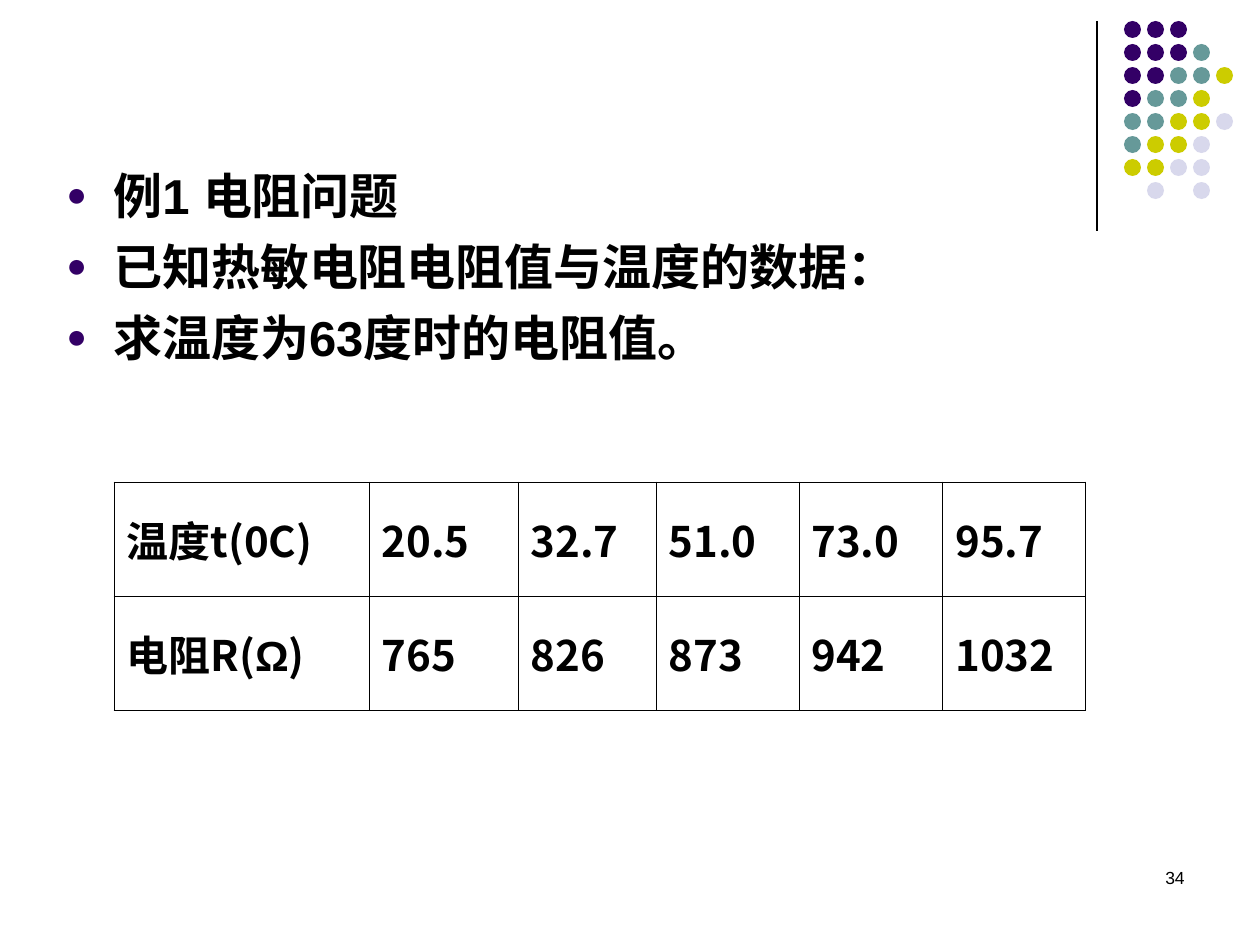
import dataclasses

import lxml.etree
import pptx
import pptx.dml.color
import pptx.enum.shapes
import pptx.enum.text
import pptx.oxml.ns
import pptx.util

PX = 914400 / 126


@dataclasses.dataclass(frozen=True)
class Theme:
    ink: str = "000000"
    purple: str = "330066"
    teal: str = "669999"
    lime: str = "CCCC00"
    lavender: str = "D8D8EC"
    latin: str = "Arial"
    chinese: str = "Noto Sans CJK SC"
    body: int = 28
    table: int = 24
    footer: int = 10


THEME = Theme()


def px(value):
    return pptx.util.Emu(round(value * PX))


def color(code):
    return pptx.dml.color.RGBColor.from_string(code)


def add_element(parent, tag, **attributes):
    element = lxml.etree.SubElement(parent, pptx.oxml.ns.qn(tag))
    for name, value in attributes.items():
        element.set(name, str(value))
    return element


def format_run(run, size, latin, bold):
    run.font.size = pptx.util.Pt(size)
    run.font.bold = bold
    run.font.name = latin
    run.font.color.rgb = color(THEME.ink)
    add_element(run.font._element, "a:ea", typeface=THEME.chinese)


def add_text_box(slide, box):
    text_box = slide.shapes.add_textbox(*map(px, box))
    text_box.text_frame.word_wrap = True
    return text_box.text_frame


def add_ornament(slide, box):
    left, top, width, height = box
    rule = slide.shapes.add_connector(
        pptx.enum.shapes.MSO_CONNECTOR.STRAIGHT,
        px(left), px(top), px(left), px(top + height),
    )
    rule.line.color.rgb = color(THEME.ink)
    rule.line.width = pptx.util.Pt(0.75)
    add_element(rule._element.spPr, "a:effectLst")

    diameter, pitch = 17, 23
    first_dot = left + width - diameter - 4 * pitch
    fills = {"P": THEME.purple, "T": THEME.teal, "Y": THEME.lime, "L": THEME.lavender}
    pattern = ("PPP", "PPPT", "PPTTY", "PTTY", "TTYYL", "TYYL", "YYLL", ".L.L")
    for row, dots in enumerate(pattern):
        for column, key in enumerate(dots):
            if key not in fills:
                continue
            dot = slide.shapes.add_shape(
                pptx.enum.shapes.MSO_SHAPE.OVAL,
                px(first_dot + column * pitch), px(top + row * pitch),
                px(diameter), px(diameter),
            )
            dot.shadow.inherit = False
            dot.fill.solid()
            dot.fill.fore_color.rgb = color(fills[key])
            dot.line.fill.background()


def add_problem(slide, box, lines):
    frame = add_text_box(slide, box)
    frame.margin_top = px(10)
    frame.text = "\n".join(lines)
    for paragraph in frame.paragraphs:
        paragraph.space_before = pptx.util.Pt(7)
        paragraph.line_spacing = pptx.util.Pt(33.6)
        properties = paragraph._p.get_or_add_pPr()
        properties.set("marL", str(px(47)))
        properties.set("indent", str(px(-47)))
        bullet_color = add_element(properties, "a:buClr")
        add_element(bullet_color, "a:srgbClr", val=THEME.purple)
        add_element(properties, "a:buSzPct", val=70000)
        add_element(properties, "a:buFont", typeface=THEME.latin)
        add_element(properties, "a:buChar", char="●")
        for run in paragraph.runs:
            format_run(run, THEME.body, THEME.latin, True)


def format_cell(cell, parts):
    cell.fill.background()
    cell.vertical_anchor = pptx.enum.text.MSO_ANCHOR.MIDDLE
    paragraph = cell.text_frame.paragraphs[0]
    for part in parts:
        run = paragraph.add_run()
        run.text = part
        latin = THEME.latin if part == "Ω" else THEME.chinese
        format_run(run, THEME.table, latin, True)
    properties = cell._tc.get_or_add_tcPr()
    for index, side in enumerate(("a:lnL", "a:lnR", "a:lnT", "a:lnB")):
        border = add_element(properties, side, w=pptx.util.Pt(0.45))
        fill = add_element(border, "a:solidFill")
        add_element(fill, "a:srgbClr", val=THEME.ink)
        properties.insert(index, border)


def add_measurements(slide, box, column_widths, rows):
    table = slide.shapes.add_table(len(rows), len(column_widths), *map(px, box)).table
    table.first_row = False
    table.horz_banding = False
    for column, width in zip(table.columns, column_widths):
        column.width = px(width)
    for row, values in zip(table.rows, rows):
        row.height = px(box[3] / len(rows))
        for cell, parts in zip(row.cells, values):
            format_cell(cell, parts)


def add_page_number(slide, box, number):
    frame = add_text_box(slide, box)
    frame.text = number
    paragraph = frame.paragraphs[0]
    paragraph.alignment = pptx.enum.text.PP_ALIGN.RIGHT
    format_run(paragraph.runs[0], THEME.footer, THEME.latin, False)


def main():
    presentation = pptx.Presentation()
    presentation.slide_width = px(1260)
    presentation.slide_height = px(945)
    slide = presentation.slides.add_slide(presentation.slide_layouts[6])

    add_ornament(slide, (1097, 21, 136, 210))
    add_problem(slide, (54, 155, 1033, 246), (
        "例1 电阻问题",
        "已知热敏电阻电阻值与温度的数据：",
        "求温度为63度时的电阻值。",
    ))
    add_measurements(slide, (114, 482, 972, 228), (255, 149, 138, 143, 144, 143), (
        (("温度t(0C)",), ("20.5",), ("32.7",), ("51.0",), ("73.0",), ("95.7",)),
        (("电阻R(", "Ω", ")"), ("765",), ("826",), ("873",), ("942",), ("1032",)),
    ))
    add_page_number(slide, (903, 861, 294, 63), "34")

    presentation.save("out.pptx")


if __name__ == "__main__":
    main()
